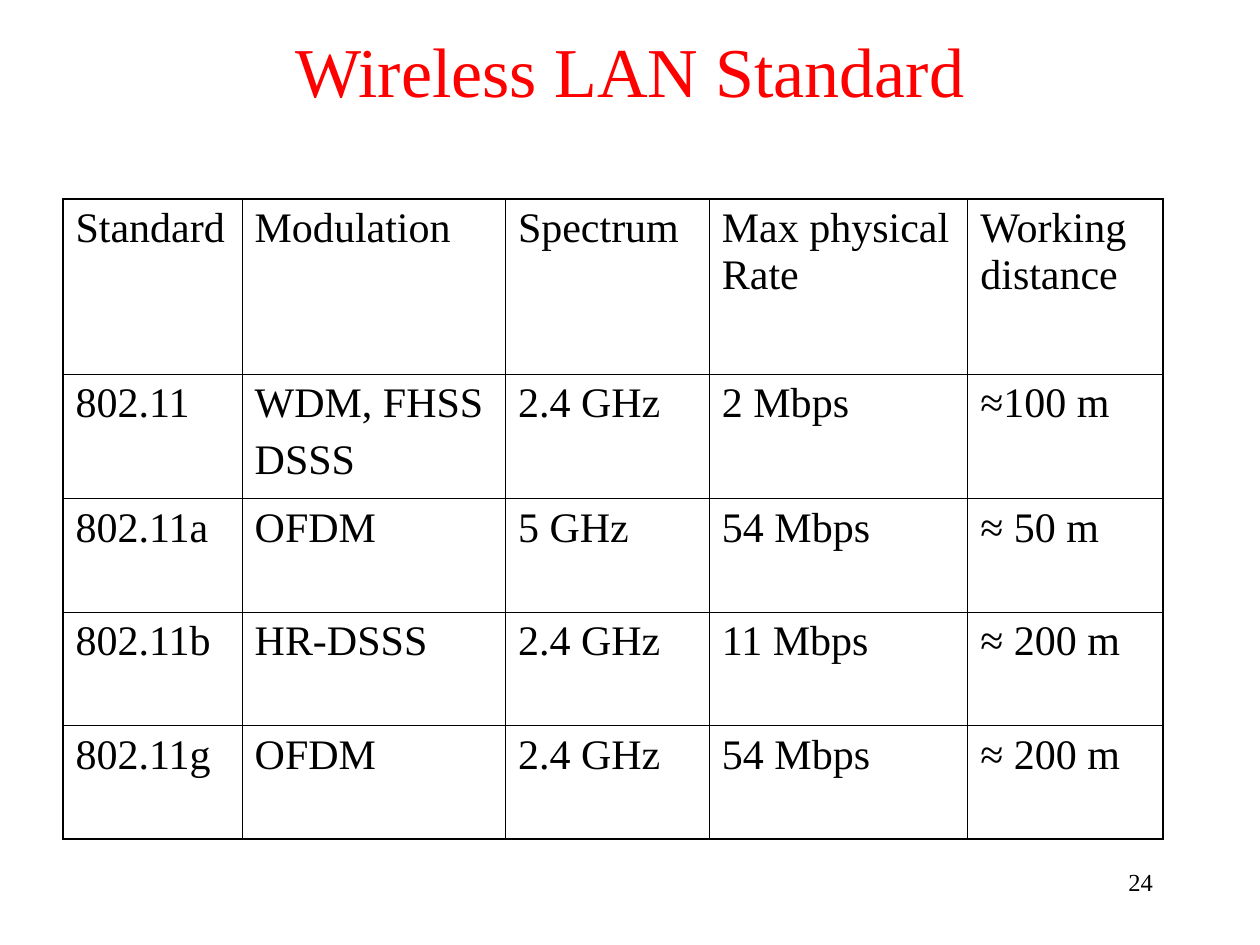
from lxml import etree
from pptx import Presentation
from pptx import util as u
from pptx.dml.color import RGBColor
from pptx.enum import text
from pptx.oxml import ns

BLACK = RGBColor(0x00, 0x00, 0x00)
RED = RGBColor(0xFF, 0x00, 0x00)
INNER_LINE, OUTER_LINE = u.Pt(0.45), u.Pt(1.08)

COLUMN_WIDTHS = (3.61, 5.31, 4.11, 5.21, 3.94)
ROW_HEIGHTS = (3.53, 2.51, 2.29, 2.29, 2.29)
STANDARDS = (
    ("Standard", "Modulation", "Spectrum", "Max physical Rate", "Working distance"),
    ("802.11", "WDM, FHSS\nDSSS", "2.4 GHz", "2 Mbps", "≈100 m"),
    ("802.11a", "OFDM", "5 GHz", "54 Mbps", "≈ 50 m"),
    ("802.11b", "HR-DSSS", "2.4 GHz", "11 Mbps", "≈ 200 m"),
    ("802.11g", "OFDM", "2.4 GHz", "54 Mbps", "≈ 200 m"),
)


def write(frame, wording, *, font, size, color=BLACK, align=text.PP_ALIGN.LEFT, gap=0):
    """Fill a text frame, one paragraph per line, with gap points between them."""
    frame.word_wrap = True
    frame.text = wording
    for index, paragraph in enumerate(frame.paragraphs):
        paragraph.alignment = align
        if index:
            paragraph.space_before = u.Pt(gap)
        for run in paragraph.runs:
            run.font.name = font
            run.font.size = u.Pt(size)
            run.font.color.rgb = color


def draw_border(cell, side, width):
    line = etree.SubElement(
        cell._tc.get_or_add_tcPr(), ns.qn(f"a:ln{side}"), w=str(int(width)))
    fill = etree.SubElement(line, ns.qn("a:solidFill"))
    etree.SubElement(fill, ns.qn("a:srgbClr"), val=str(BLACK))


class SlideWriter:
    def __init__(self, slide, font):
        self.slide = slide
        self.font = font

    def text_box(self, wording, left, top, width, height,
                 anchor=text.MSO_ANCHOR.TOP, **style):
        box = self.slide.shapes.add_textbox(*map(u.Cm, (left, top, width, height)))
        box.text_frame.vertical_anchor = anchor
        write(box.text_frame, wording, font=self.font, **style)

    def table(self, rows, left, top, widths, heights, **style):
        """Add a plain grid with a heavier outer frame."""
        frame = self.slide.shapes.add_table(
            len(rows), len(widths),
            *map(u.Cm, (left, top, sum(widths), sum(heights))))
        grid = frame.table
        grid.first_row = grid.horz_banding = False
        for column, width in zip(grid.columns, widths):
            column.width = u.Cm(width)
        last_row, last_column = len(rows) - 1, len(widths) - 1
        for r, (row, height) in enumerate(zip(rows, heights)):
            grid.rows[r].height = u.Cm(height)
            for c, wording in enumerate(row):
                cell = grid.cell(r, c)
                write(cell.text_frame, wording, font=self.font, **style)
                on_frame = {"L": c == 0, "R": c == last_column,
                            "T": r == 0, "B": r == last_row}
                for side, outer in on_frame.items():
                    draw_border(cell, side, OUTER_LINE if outer else INNER_LINE)
                cell.fill.background()


def main():
    deck = Presentation()
    deck.slide_width, deck.slide_height = u.Cm(25.4), u.Cm(19.05)
    page = SlideWriter(deck.slides.add_slide(deck.slide_layouts[6]), "Times New Roman")

    page.text_box("24", 18.21, 17.35, 5.28, 1.27, size=14, align=text.PP_ALIGN.RIGHT)
    page.text_box("Wireless LAN Standard", 0, 0.53, 25.4, 1.73, size=40, color=RED,
                  anchor=text.MSO_ANCHOR.MIDDLE, align=text.PP_ALIGN.CENTER)
    page.table(STANDARDS, 1.27, 4.01, COLUMN_WIDTHS, ROW_HEIGHTS, size=24, gap=6)

    deck.save("out.pptx")


if __name__ == "__main__":
    main()
